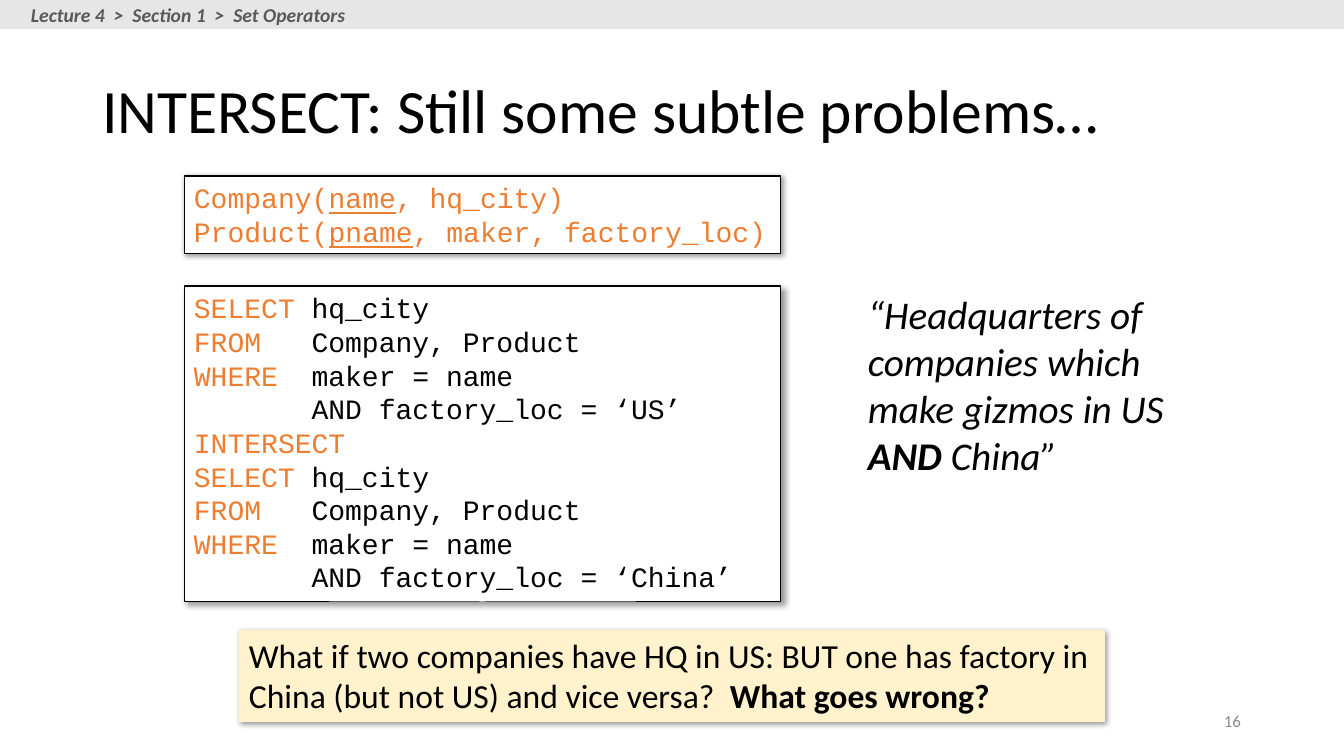
"""Build the slide on subtle problems with INTERSECT."""
import pptx
import pptx.util
import pptx.dml.color
import pptx.enum.shapes
import pptx.enum.text
import pptx.oxml

PX = 914400 / 100.8
ORANGE, BLACK = "ED7D31", "000000"
MONO, SANS = "Courier New", "Calibri"
ANCHOR = pptx.enum.text.MSO_ANCHOR
ALIGN = pptx.enum.text.PP_ALIGN
GROW = pptx.enum.text.MSO_AUTO_SIZE.SHAPE_TO_FIT_TEXT


def color(code):
    return pptx.dml.color.RGBColor.from_string(code)


def panel(area, lines, size, font, fill=None, edge=None, drop=None):
    rect = pptx.enum.shapes.MSO_SHAPE.RECTANGLE
    place = [round(n * PX) for n in area]
    if fill:
        shape = slide.shapes.add_shape(rect, *place)
        shape.shadow.inherit = False
        shape.fill.solid()
        shape.fill.fore_color.rgb = color(fill)
        if edge:
            shape.line.color.rgb = color(edge)
            shape.line.width = pptx.util.Pt(0.75)
        else:
            shape.line.fill.background()
    else:
        shape = slide.shapes.add_textbox(*place)
    if drop:
        glow = shape._element.spPr.find(pptx.oxml.ns.qn("a:effectLst"))
        glow.append(pptx.oxml.parse_xml(
            f'<a:outerShdw {pptx.oxml.ns.nsdecls("a")} blurRad="50800" '
            f'dist="{drop * 12700}" dir="2700000" algn="tl" rotWithShape="0">'
            '<a:srgbClr val="000000"><a:alpha val="40000"/></a:srgbClr>'
            '</a:outerShdw>'))
    frame = shape.text_frame
    frame.word_wrap = True
    frame.vertical_anchor = ANCHOR.TOP
    if lines:
        frame.auto_size = GROW
    for i, line in enumerate(lines):
        para = frame.paragraphs[0] if i == 0 else frame.add_paragraph()
        para.alignment = ALIGN.LEFT
        for text, tint, style in line:
            run = para.add_run()
            run.text = text
            run.font.size = pptx.util.Pt(size)
            run.font.name = font
            run.font.color.rgb = color(tint)
            run.font.bold = "b" in style
            run.font.italic = "i" in style
            run.font.underline = "u" in style
    return frame


deck = pptx.Presentation()
deck.slide_width = round(1344 * PX)
deck.slide_height = round(756 * PX)
slide = deck.slides.add_slide(deck.slide_layouts[5])

title = slide.shapes.title
title.left, title.top, title.width, title.height = [
    round(n * PX) for n in (92, 40, 1159, 147)]
title.text_frame.text = "INTERSECT: Still some subtle problems…"
title.text_frame.vertical_anchor = ANCHOR.MIDDLE
head = title.text_frame.paragraphs[0]
head.alignment = ALIGN.LEFT
head.line_spacing = 0.9
head.runs[0].font.size = pptx.util.Pt(44)
head.runs[0].font.name = SANS
head.runs[0].font.color.rgb = color(BLACK)

number = panel((949, 701, 302, 40), [[("16", "8C8C8C", "")]], 12, SANS)
number.auto_size = pptx.enum.text.MSO_AUTO_SIZE.NONE
number.vertical_anchor = ANCHOR.MIDDLE
number.paragraphs[0].alignment = ALIGN.RIGHT

schema = [[(table + "(", ORANGE, ""), (key, ORANGE, "u"), (rest, ORANGE, "")]
          for table, key, rest in (
              ("Company", "name", ", hq_city)"),
              ("Product", "pname", ", maker, factory_loc)"))]
tables = panel((184, 176, 597, 78), schema, 20, MONO, "FFFFFF", BLACK, 1)
tables.word_wrap = False

query = []
for place in ("US", "China"):
    if query:
        query.append([("INTERSECT", ORANGE, "")])
    for word, rest in (("SELECT", "hq_city"), ("FROM", "Company, Product"),
                       ("WHERE", "maker = name")):
        query.append([(word + "\t", ORANGE, ""), (rest, BLACK, "")])
    query.append([(f"AND factory_loc = ‘{place}’", BLACK, "")])
code = panel((184, 286, 597, 316), query, 20, MONO, "FFFFFF", BLACK, 3)
indent = pptx.util.Pt(84)
for para in code.paragraphs:
    props = para._p.get_or_add_pPr()
    props.set("marL", str(indent))
    props.set("indent", str(0 if para.text.startswith("AND") else -indent))

panel((239, 630, 866, 92), [[
    ("What if two companies have HQ in US: BUT one has factory in China "
     "(but not US) and vice versa?  ", BLACK, ""),
    ("What goes wrong?", BLACK, "b")]], 24, SANS, "FFF2CC", drop=1)

panel((858, 285, 332, 201), [[
    ("“Headquarters of companies which make gizmos in US ", BLACK, "i"),
    ("AND", BLACK, "bi"), (" China”", BLACK, "i")]], 28, SANS)

panel((0, 0, 1344, 29), [], 14, SANS, "E7E6E6")
crumbs = panel((21, -2, 339, 34), [[
    ("Lecture 4  >  Section 1  >  Set Operators", "595959", "bi")]], 14, SANS)
crumbs.word_wrap = False

deck.save("out.pptx")
